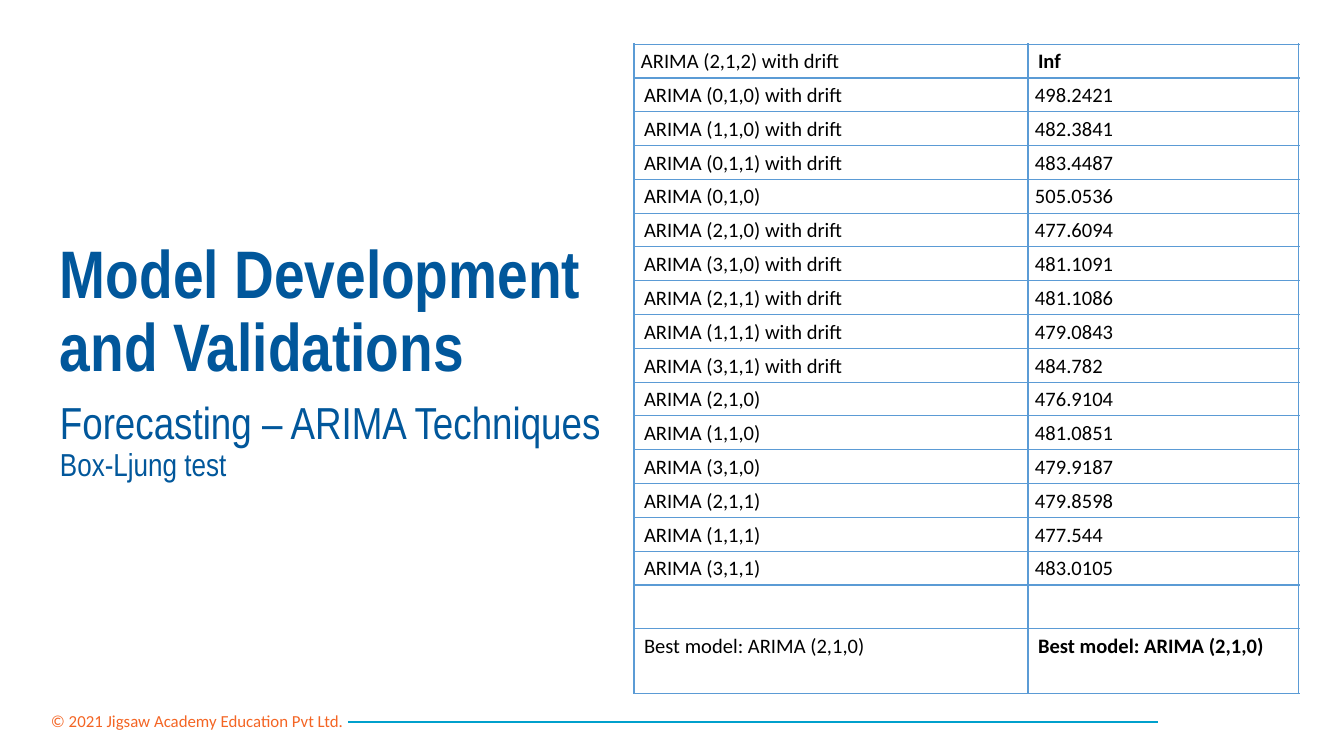
from dataclasses import dataclass

from lxml import etree
from pptx import Presentation
from pptx.dml.color import RGBColor
from pptx.enum.shapes import MSO_CONNECTOR
from pptx.enum.text import MSO_ANCHOR
from pptx.oxml.ns import qn
from pptx.util import Emu, Pt

STRAIGHT = MSO_CONNECTOR.STRAIGHT
TOP, MIDDLE = MSO_ANCHOR.TOP, MSO_ANCHOR.MIDDLE

BLUE = RGBColor(0x01, 0x57, 0x9B)
ORANGE = RGBColor(0xF4, 0x65, 0x24)
CYAN = RGBColor(0x00, 0xA0, 0xCC)
BORDER = RGBColor(0x5B, 0x9B, 0xD5)
BLACK = RGBColor(0, 0, 0)

EMU_PER_PX = 914400 / 134.4
INDENT = 3
THIN, THICK = 0.63, 1.25


@dataclass
class Row:
    label: str
    value: str
    bold: bool = False


@dataclass
class Box:
    x: int
    y: int
    w: int
    h: int


BEST = "Best model: ARIMA (2,1,0)"
ROWS = [
    Row("ARIMA (2,1,2) with drift", "Inf", bold=True),
    Row("ARIMA (0,1,0) with drift", "498.2421"),
    Row("ARIMA (1,1,0) with drift", "482.3841"),
    Row("ARIMA (0,1,1) with drift", "483.4487"),
    Row("ARIMA (0,1,0)", "505.0536"),
    Row("ARIMA (2,1,0) with drift", "477.6094"),
    Row("ARIMA (3,1,0) with drift", "481.1091"),
    Row("ARIMA (2,1,1) with drift", "481.1086"),
    Row("ARIMA (1,1,1) with drift", "479.0843"),
    Row("ARIMA (3,1,1) with drift", "484.782"),
    Row("ARIMA (2,1,0)", "476.9104"),
    Row("ARIMA (1,1,0)", "481.0851"),
    Row("ARIMA (3,1,0)", "479.9187"),
    Row("ARIMA (2,1,1)", "479.8598"),
    Row("ARIMA (1,1,1)", "477.544"),
    Row("ARIMA (3,1,1)", "483.0105"),
    Row("", ""),
    Row(BEST, BEST, bold=True),
]
MODELS_H, GAP_H, BEST_H = 541, 43, 65
COLS = [394, 271]


def px(n: int) -> Emu:
    return Emu(round(n * EMU_PER_PX))


def add_text(p, text: str, *, size: int, font: str, color: RGBColor,
             bold: bool = False, spacing: float = 1.0) -> None:
    p.line_spacing = spacing
    r = p.add_run()
    r.text = text
    r.font.size = Pt(size)
    r.font.name = font
    r.font.bold = bold
    r.font.color.rgb = color


def set_margins(target, x: int, top: int, bottom: int) -> None:
    target.margin_left = target.margin_right = px(x)
    target.margin_top, target.margin_bottom = px(top), px(bottom)


def add_box(s, box: Box, *, anchor=TOP, wrap: bool = True,
            inset: tuple[int, int] = (13, 7)):
    tf = s.shapes.add_textbox(px(box.x), px(box.y), px(box.w), px(box.h)).text_frame
    tf.word_wrap = wrap
    tf.vertical_anchor = anchor
    set_margins(tf, inset[0], inset[1], inset[1])
    return tf.paragraphs[0]


def set_borders(cell, top: float, bottom: float) -> None:
    tc_pr = cell._tc.get_or_add_tcPr()
    for side, width in zip("LRTB", (THIN, THIN, top, bottom)):
        ln = etree.SubElement(tc_pr, qn(f"a:ln{side}"), w=str(Pt(width)))
        fill = etree.SubElement(ln, qn("a:solidFill"))
        etree.SubElement(fill, qn("a:srgbClr"), val=str(BORDER))


def fill_cell(cell, text: str, *, bold: bool, indented: bool,
              top: float, bottom: float) -> None:
    set_margins(cell, 7, 3, 0)
    set_borders(cell, top, bottom)
    cell.fill.background()
    if text:
        p = cell.text_frame.paragraphs[0]
        if indented:
            p._p.get_or_add_pPr().set("marL", str(px(INDENT)))
        add_text(p, text, size=11, font="Calibri", color=BLACK, bold=bold, spacing=1.08)


def add_model_table(s, x: int, y: int) -> None:
    table = s.shapes.add_table(len(ROWS), len(COLS), px(x), px(y), px(sum(COLS)),
                               px(MODELS_H + GAP_H + BEST_H)).table
    table.first_row = table.horz_banding = False
    for col, width in zip(table.columns, COLS):
        col.width = px(width)
    models = len(ROWS) - 2
    heights = [px(MODELS_H) // models] * models + [px(GAP_H), px(BEST_H)]
    for i, (row, height) in enumerate(zip(ROWS, heights)):
        table.rows[i].height = Emu(height)
        top = THICK if i == 1 else THIN
        bottom = THICK if i == 0 else THIN
        fill_cell(table.cell(i, 0), row.label, bold=False, indented=i > 0,
                  top=top, bottom=bottom)
        fill_cell(table.cell(i, 1), row.value, bold=row.bold, indented=row.bold,
                  top=top, bottom=bottom)


def add_line(s, x1: int, x2: int, y: int) -> None:
    line = s.shapes.add_connector(STRAIGHT, px(x1), px(y), px(x2), px(y))
    line.line.color.rgb = CYAN
    line.line.width = Pt(0.75)
    etree.SubElement(line._element.spPr, qn("a:effectLst"))


def main() -> None:
    prs = Presentation()
    prs.slide_width, prs.slide_height = px(1344), px(756)
    s = prs.slides.add_slide(prs.slide_layouts[6])

    # Footer
    add_line(s, 348, 1158, 722)
    p = add_box(s, Box(42, 706, 316, 31), wrap=False, inset=(9, 5))
    add_text(p, "© 2021 Jigsaw Academy Education Pvt Ltd.", size=9,
             font="Calibri", color=ORANGE)

    # Title and subtitle
    heading = {"font": "Arial Narrow", "color": BLUE, "spacing": 0.9}
    p = add_box(s, Box(47, 153, 648, 320), anchor=MIDDLE)
    add_text(p, "Model Development and Validations", size=36, bold=True, **heading)
    p = add_box(s, Box(47, 394, 570, 200))
    add_text(p, "Forecasting – ARIMA Techniques ", size=24, **heading)
    add_text(p, "Box-Ljung test", size=17, **heading)

    # Model comparison
    add_model_table(s, 634, 44)

    prs.save("out.pptx")


if __name__ == "__main__":
    main()
